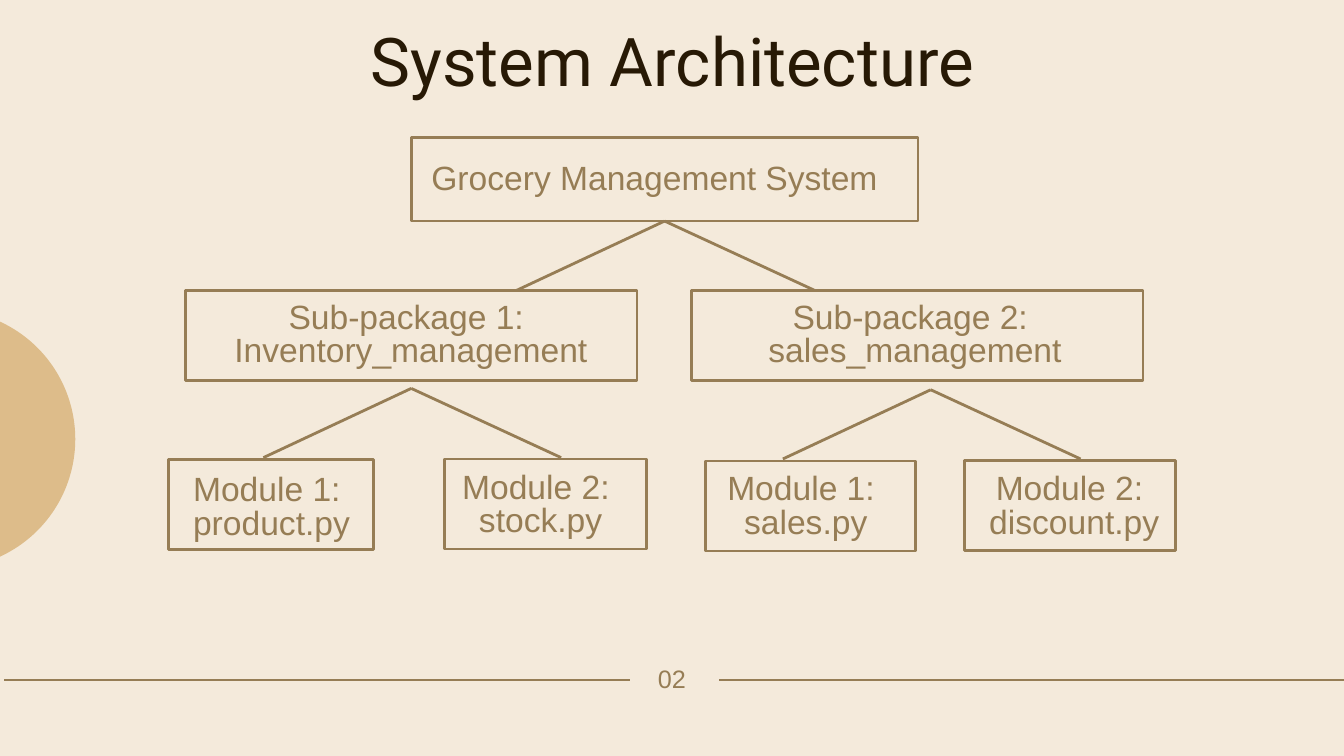
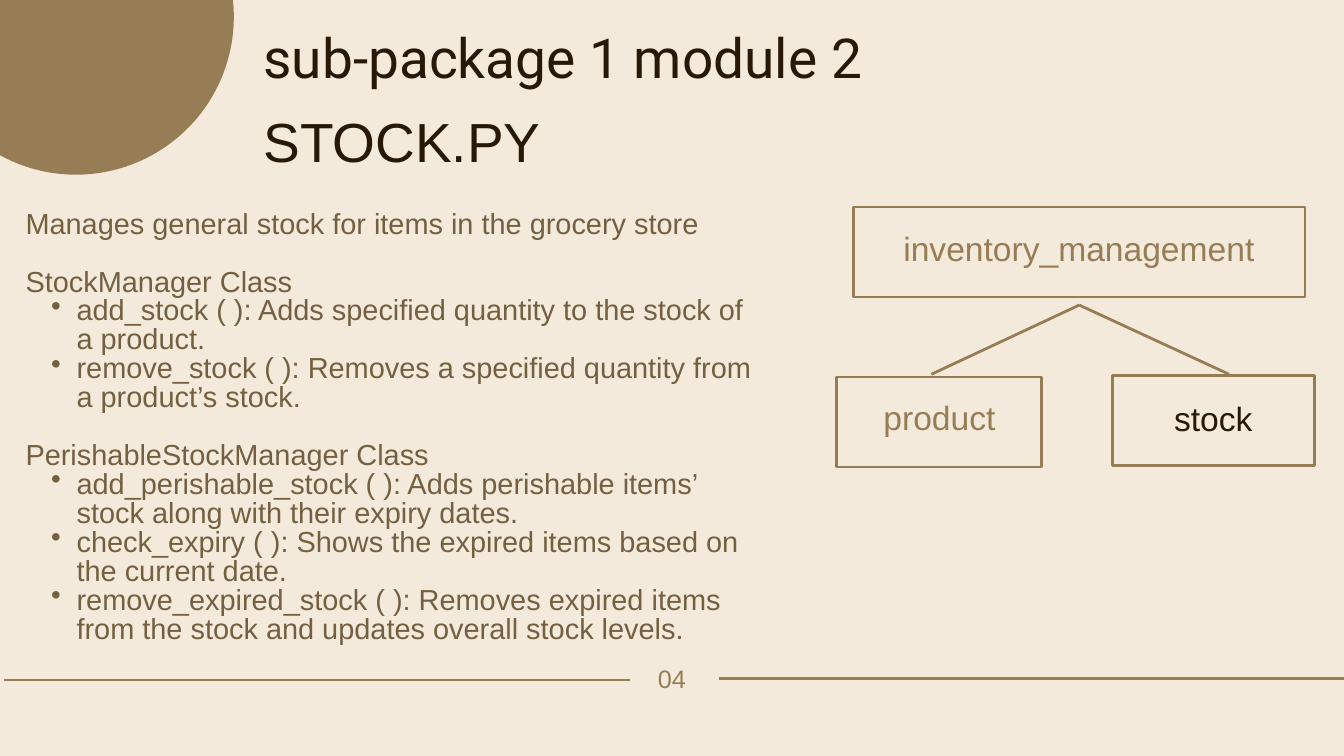
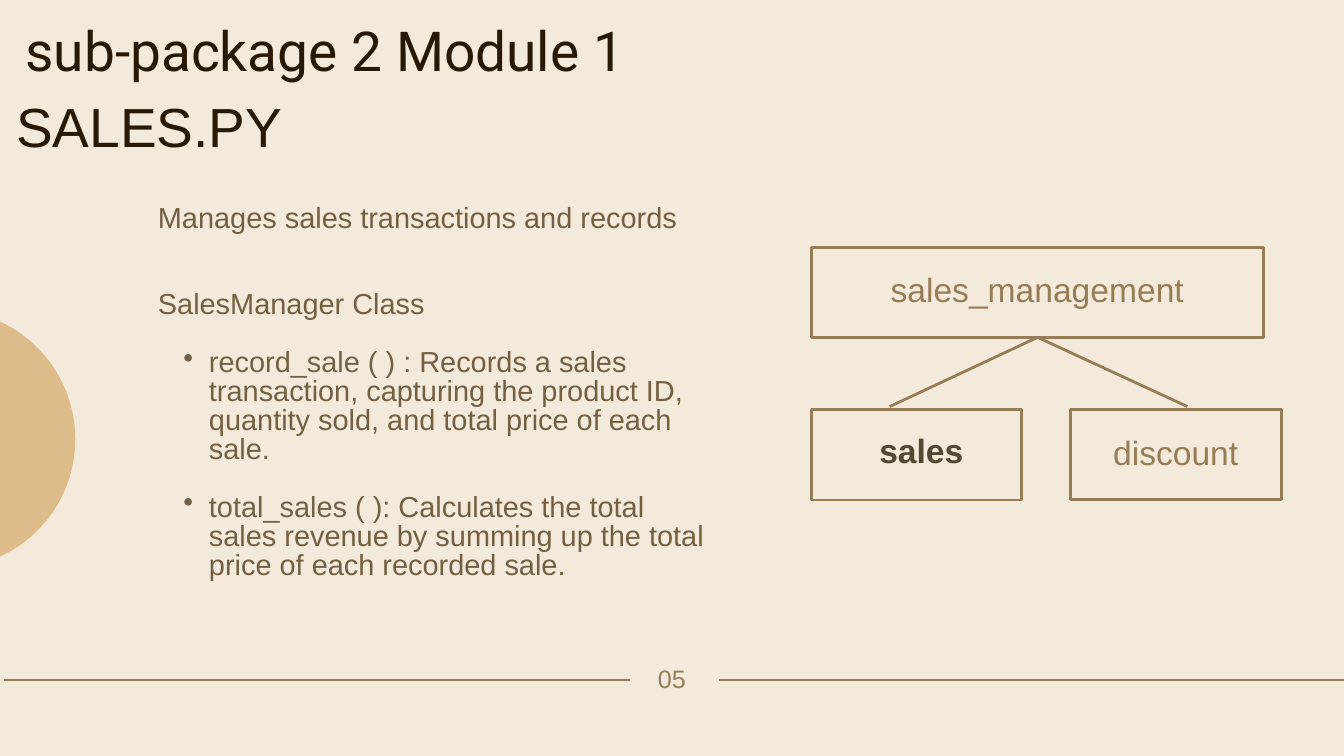
from lxml.etree import SubElement
from pptx import Presentation
from pptx.dml.color import RGBColor
from pptx.enum.shapes import MSO_CONNECTOR, MSO_SHAPE
from pptx.enum.text import PP_ALIGN
from pptx.oxml.ns import qn
from pptx.util import Inches, Pt

# Shared style: a grid of 20 columns by 11.25 rows, each one inch
COLUMNS, ROWS = 20, 11.25
CREAM, BRONZE, SAND = "F4EADB", "967D55", "DDBC8A"
INK, UMBER, OLIVE, DARK_OLIVE = "271905", "746041", "716145", "544833"
BODY_SIZE = 31
NODE_ROWS = 1.34


def grid(*cells):
    return [Inches(cell) for cell in cells]


def color(value):
    return RGBColor.from_string(value)


def write(frame, text, size=36, font="Arial", fill=BRONZE, bold=False,
          leading=None, align=PP_ALIGN.LEFT, before=0, bullet=False):
    """Add a paragraph; text is a string or a list of (string, colour) pairs."""
    first = frame.paragraphs[0]
    paragraph = frame.add_paragraph() if first.runs else first
    paragraph.alignment = align
    paragraph.line_spacing = Pt(leading or size)
    paragraph.space_before = Pt(before)
    if bullet:
        paragraph.level = 1
        properties = paragraph._p.get_or_add_pPr()
        properties.set("marL", str(Inches(0.76)))
        properties.set("indent", str(Inches(-0.38)))
        SubElement(properties, qn("a:buChar")).set("char", "•")
    for part, tint in [(text, fill)] if isinstance(text, str) else text:
        run = paragraph.add_run()
        run.text = part
        run.font.size, run.font.name, run.font.bold = Pt(size), font, bold
        run.font.color.rgb = color(tint)


class Deck:
    def __init__(self):
        self.show = Presentation()
        self.show.slide_width, self.show.slide_height = grid(COLUMNS, ROWS)
        self.shapes = None

    def page(self, number, right_row=10.12):
        """Start a slide with its background, footer lines and number."""
        slide = self.show.slides.add_slide(self.show.slide_layouts[6])
        slide.background.fill.solid()
        slide.background.fill.fore_color.rgb = color(CREAM)
        self.shapes = slide.shapes
        self.line(0.06, 10.12, 9.37, 10.12)
        self.line(10.7, right_row, COLUMNS, right_row)
        write(self.frame(6.38, 9.95, 7.24, 0.39), number, size=27,
              align=PP_ALIGN.CENTER)

    def frame(self, x, y, w, h):
        frame = self.shapes.add_textbox(*grid(x, y, w, h)).text_frame
        frame.word_wrap = True
        frame.margin_left = frame.margin_right = 0
        frame.margin_top = frame.margin_bottom = 0
        return frame

    def title(self, text, x, y, w, h=0.97, **style):
        style = {"size": 59, "font": "Roboto", "leading": 70, **style}
        write(self.frame(x, y, w, h), text, fill=INK, **style)

    def circle(self, x, y, diameter, fill):
        disc = self.shapes.add_shape(
            MSO_SHAPE.OVAL, *grid(x, y, diameter, diameter))
        disc.shadow.inherit = False
        disc.fill.solid()
        disc.fill.fore_color.rgb = color(fill)
        disc.line.fill.background()

    def line(self, x1, y1, x2, y2):
        line = self.shapes.add_connector(
            MSO_CONNECTOR.STRAIGHT, *grid(x1, y1, x2, y2))
        line.line.color.rgb = color(BRONZE)
        line.line.width = Pt(3)
        SubElement(line._element.spPr, qn("a:effectLst"))
        return line

    def node(self, lines, box, label, **style):
        """Outlined box (x, y, w[, h]) with centred lines at label (x, y, w)."""
        x, y, w, h = (*box, NODE_ROWS)[:4]
        outline = self.shapes.add_shape(MSO_SHAPE.RECTANGLE, *grid(x, y, w, h))
        outline.shadow.inherit = False
        outline.fill.background()
        outline.line.color.rgb = color(BRONZE)
        outline.line.width = Pt(3)
        frame = self.frame(*label, 0.5 * len(lines) + 0.01)
        for text in lines:
            write(frame, text, align=PP_ALIGN.CENTER, **style)
        return outline

    def fork(self, x, y, parent=None):
        """Two branches down from (x, y), joined to the parent they touch."""
        for reach in (2.23, -2.2):
            branch = self.line(x, y, x + reach, y + 1.03)
            if parent is not None:
                branch.begin_connect(parent, 2)

    def body(self, paragraphs, x, y, w, h):
        frame = self.frame(x, y, w, h)
        for text, blank_lines, bullet in paragraphs:
            write(frame, text, size=BODY_SIZE, fill=UMBER, bullet=bullet,
                  before=blank_lines * BODY_SIZE)


def architecture(deck):
    deck.page("02")
    deck.circle(-2.73, 4.61, 3.85, SAND)
    deck.title("System Architecture", 4.72, 0.29, 10.57, 1.19,
               size=72, leading=86, align=PP_ALIGN.CENTER)

    # Root and sub-packages
    system = deck.node(["Grocery Management System"],
                       (6.12, 2.05, 7.54, 1.24), (6.12, 2.43, 7.24))
    deck.fork(9.89, 3.29, system)
    deck.node(["Sub-package 1: ", "Inventory_management"],
              (2.76, 4.32, 6.72), (2.95, 4.5, 6.33))
    deck.node(["Sub-package 2: ", "sales_management"],
              (10.29, 4.32, 6.72), (10.45, 4.5, 6.33))

    # Modules
    deck.fork(6.12, 5.78)
    deck.fork(13.85, 5.8)
    for number, module, box, label in (
        (1, "product.py", (2.51, 6.84, 3.05), (2.55, 7.07, 2.98)),
        (2, "stock.py", (6.61, 6.83, 3.01), (6.61, 7.03, 2.87)),
        (1, "sales.py", (10.5, 6.86, 3.12), (10.5, 7.05, 2.98)),
        (2, "discount.py", (14.35, 6.85, 3.14), (14.49, 7.05, 2.99)),
    ):
        deck.node([f"Module {number}: ", module], box, label)


def stock_module(deck):
    deck.page("04", right_row=10.1)
    deck.circle(-1.22, -2.1, 4.7, BRONZE)
    deck.title("sub-package 1 module 2", 3.92, 0.36, 11.51)
    deck.title("STOCK.PY", 3.92, 1.61, 14.91, font="Arial")

    # Classes: text, blank lines before, bullet
    deck.body([
        ("Manages general stock for items in the grocery store", 0, False),
        ("StockManager Class", 1, False),
        ("add_stock ( ): Adds specified quantity to the stock of a product.",
         0, True),
        ("remove_stock ( ): Removes a specified quantity from a product’s "
         "stock.", 0, True),
        ("PerishableStockManager Class", 1, False),
        ("add_perishable_stock ( ): Adds perishable items’ stock along with "
         "their expiry dates.", 0, True),
        ("check_expiry ( ): Shows the expired items based on the current "
         "date.", 0, True),
        ("remove_expired_stock ( ): Removes expired items from the stock and "
         "updates overall stock levels.", 0, True),
    ], 0.38, 3.14, 11.03, 6.87)

    # Package tree
    deck.node(["inventory_management"], (12.7, 3.08, 6.72), (12.89, 3.49, 6.33))
    deck.fork(16.06, 4.54)
    deck.node(["product"], (12.45, 5.61, 3.05), (12.49, 6, 2.98))
    deck.node(["stock"], (16.55, 5.59, 3.01), (16.62, 6.02, 2.87), fill=INK)


def sales_module(deck):
    deck.page("05")
    deck.circle(-2.73, 4.61, 3.85, SAND)
    deck.title("sub-package 2 Module 1", 0.38, 0.26, 11.51)
    deck.title("SALES.PY", 0.24, 1.39, 14.91, 1.94, font="Arial")

    # Class: text, blank lines before, bullet
    deck.body([
        ("Manages sales transactions and records", 0, False),
        ("SalesManager Class", 2, False),
        ([("record_sale ( ) ", OLIVE),
          (": Records a sales transaction, capturing the product ID, "
           "quantity sold, and total price of each sale.", UMBER)], 1, True),
        ([("total_sales ( )", OLIVE),
          (": Calculates the total sales revenue by summing up the total "
           "price of each recorded sale.", UMBER)], 1, True),
    ], 2.35, 3.05, 8.18, 5.71)

    # Package tree
    package = deck.node(["sales_management"],
                        (12.08, 3.68, 6.72), (12.27, 4.1, 6.33))
    deck.fork(15.44, 5.02, package)
    deck.node(["sales"], (12.08, 6.1, 3.12), (12.22, 6.5, 2.98),
              fill=DARK_OLIVE, bold=True)
    deck.node(["discount"], (15.93, 6.09, 3.14), (16, 6.52, 2.99))


def main():
    deck = Deck()
    architecture(deck)
    stock_module(deck)
    sales_module(deck)
    deck.show.save("out.pptx")


if __name__ == "__main__":
    main()
